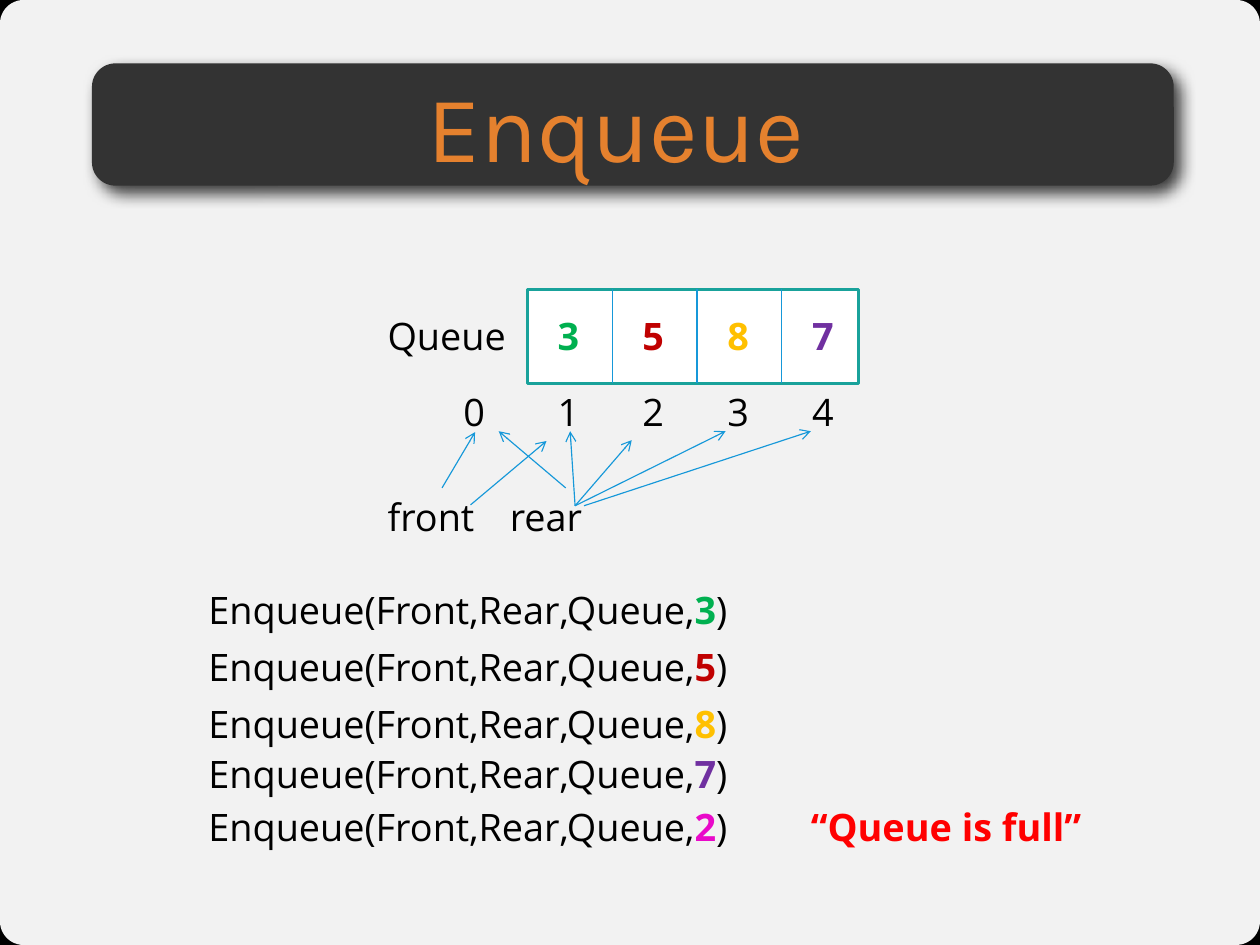
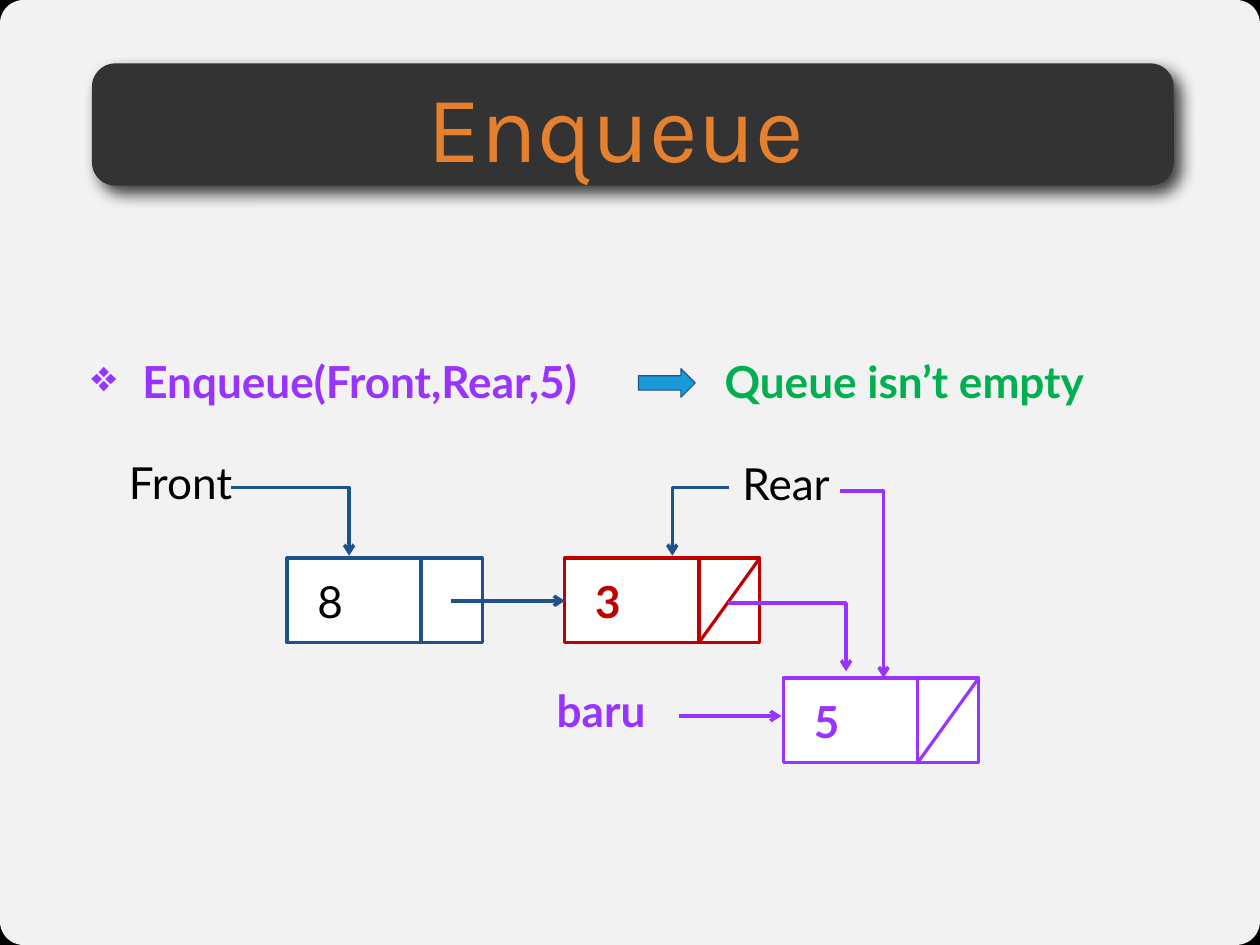
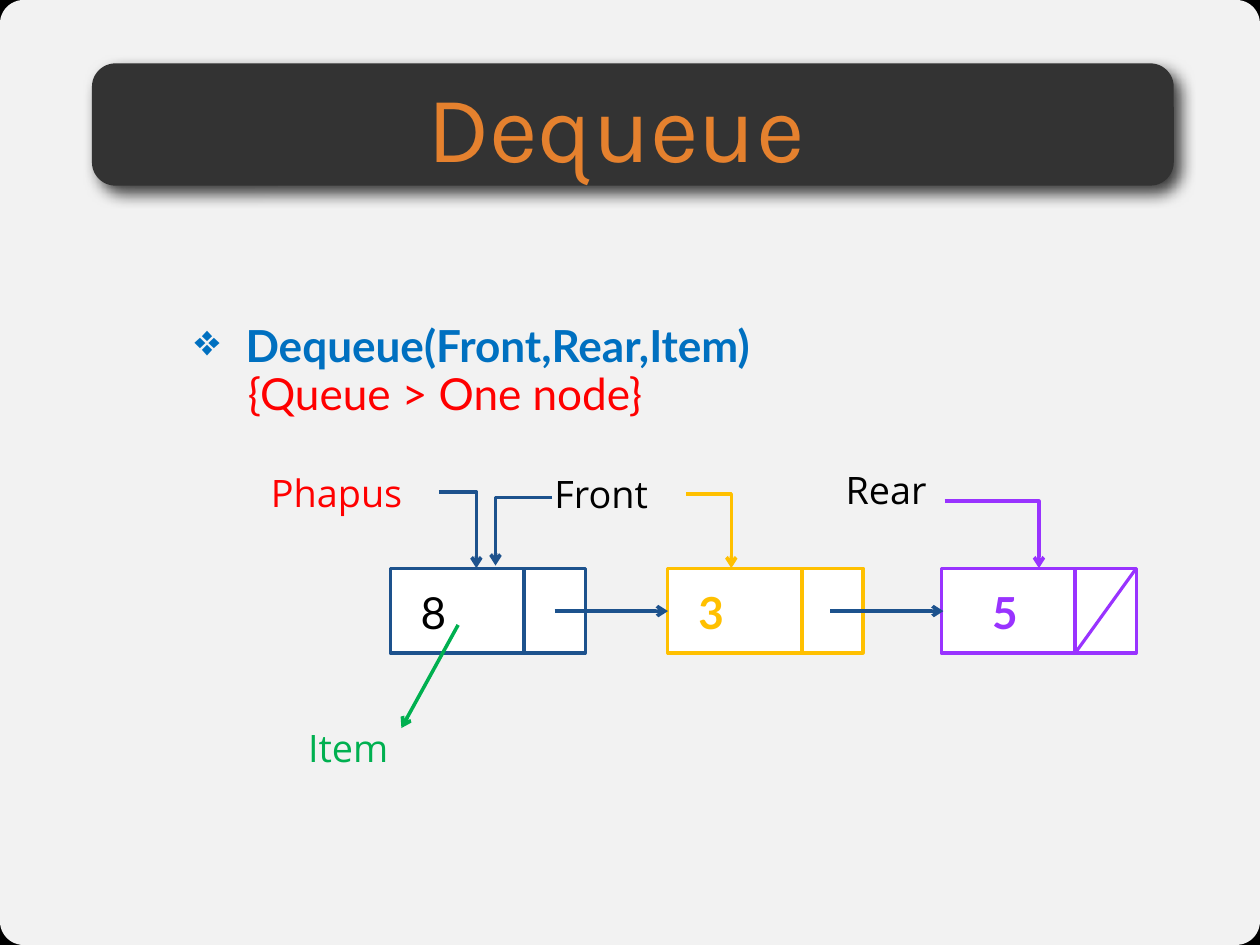
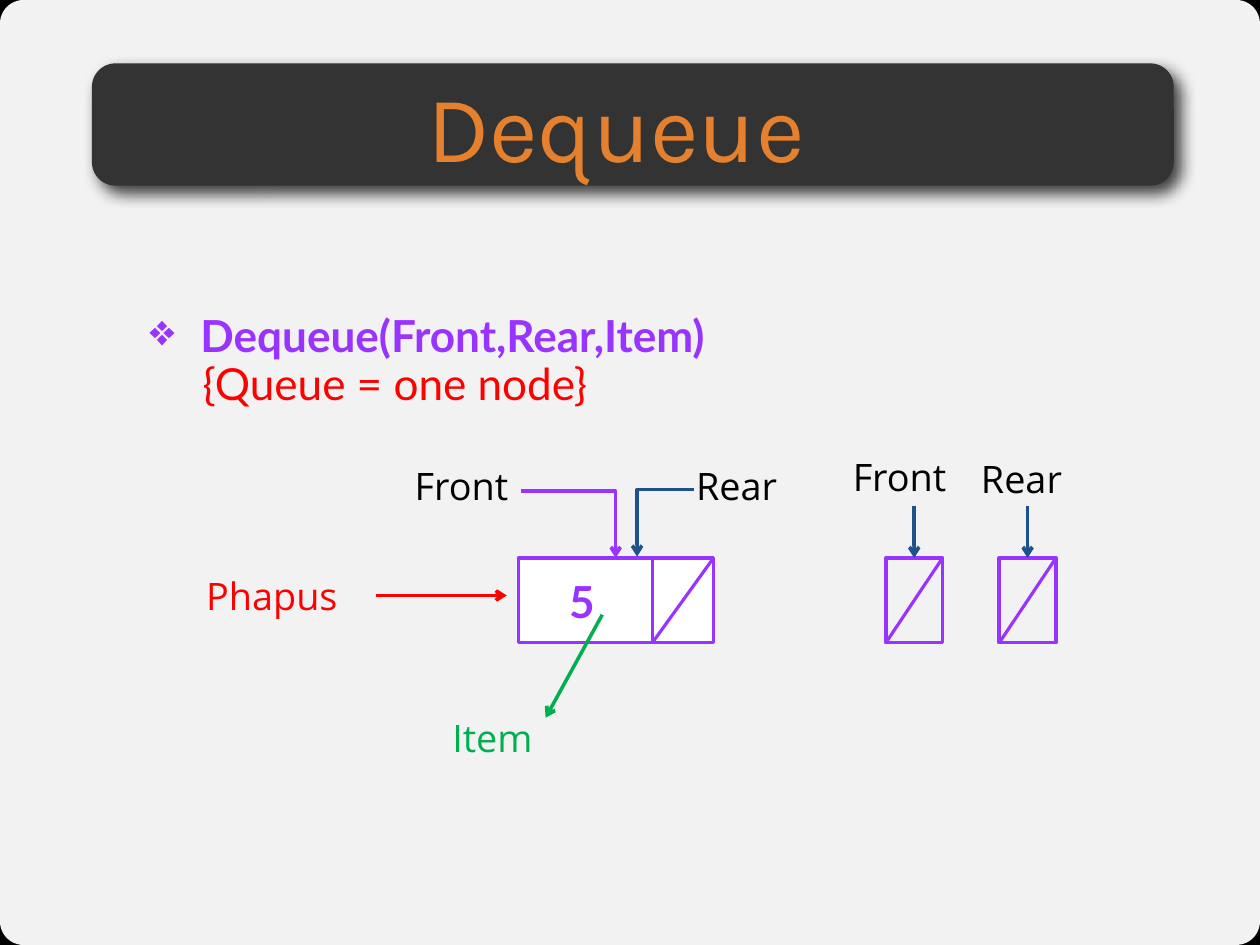
"""Build four slides that explain enqueue and dequeue on a queue."""
import dataclasses

import lxml.etree
import pptx
import pptx.dml.color
import pptx.enum.shapes
import pptx.enum.text
import pptx.oxml.ns
import pptx.util

Cm = pptx.util.Cm
Pt = pptx.util.Pt
qn = pptx.oxml.ns.qn
Preset = pptx.enum.shapes.MSO_SHAPE
Connector = pptx.enum.shapes.MSO_CONNECTOR


@dataclasses.dataclass(frozen=True)
class Type:
    """A typeface with its size in points."""
    face: str
    size: int


@dataclasses.dataclass(frozen=True)
class Theme:
    """Colours, type styles and line widths of the deck."""
    backdrop: str = "000000"
    paper: str = "FFFFFF"
    band: str = "333333"
    title_ink: str = "E5812E"
    ink: str = "000000"
    navy: str = "1D528D"
    sky: str = "1698D9"
    block_arrow: str = "1B9AD9"
    teal: str = "19A29B"
    blue: str = "0070C0"
    violet: str = "9933FF"
    purple: str = "7030A0"
    magenta: str = "E909C9"
    red: str = "FF0000"
    crimson: str = "C00000"
    amber: str = "FFC000"
    green: str = "00B050"
    title: Type = Type("Karla", 60)
    heading: Type = Type("Lato", 28)
    body: Type = Type("Open Sans", 24)
    hairline: float = 0.75
    outline: float = 2
    pointer: float = 2.25


THEME = Theme()
SLIDE_WIDTH, SLIDE_HEIGHT = 28.22, 21.17
NODE_WIDTH, NODE_HEIGHT, NODE_DIVIDER = 4.37, 1.9, 3


@dataclasses.dataclass
class Region:
    """A box on a slide, in centimetres; its parts use offsets from its corner."""
    slide: object
    left: float
    top: float
    width: float
    height: float

    def at(self, x, y):
        """Return the slide position of an offset inside the box."""
        return Cm(self.left + x), Cm(self.top + y)

    def inner(self, x, y, width, height):
        """Return a smaller box at an offset inside this one."""
        return Region(self.slide, self.left + x, self.top + y, width, height)


@dataclasses.dataclass
class Label:
    """A short caption in a diagram."""
    text: str
    x: float
    y: float
    color: str = THEME.ink
    bold: bool = False
    width: float = 3.2


@dataclasses.dataclass
class Node:
    """A list node with its value and, at the end of a list, a null slash."""
    value: str
    x: float
    y: float
    color: str
    value_color: str
    inset: float = 0.43
    bold: bool = True
    null: bool = False


@dataclasses.dataclass
class Pointer:
    """An arrow between two points, straight or with one corner."""
    start: tuple
    end: tuple
    color: str = THEME.navy
    bent: bool = False


def rgb(color):
    """Turn a hex string into a colour."""
    return pptx.dml.color.RGBColor.from_string(color)


def draw_shape(region, preset, fill=None, line=None, weight=THEME.outline, corner=None):
    """Draw a preset shape that fills the region."""
    shape = region.slide.shapes.add_shape(
        preset, *region.at(0, 0), Cm(region.width), Cm(region.height))
    shape.shadow.inherit = False
    if fill:
        shape.fill.solid()
        shape.fill.fore_color.rgb = rgb(fill)
    else:
        shape.fill.background()
    if line:
        shape.line.color.rgb = rgb(line)
        shape.line.width = Pt(weight)
    else:
        shape.line.fill.background()
    if corner is not None:
        shape.adjustments[0] = corner
    return shape


def draw_line(region, start, end, color, weight, arrow=False, bent=False):
    """Draw a line between two offsets, with an arrowhead or a corner on demand."""
    kind = Connector.ELBOW if bent else Connector.STRAIGHT
    connector = region.slide.shapes.add_connector(
        kind, *region.at(*start), *region.at(*end))
    connector.line.color.rgb = rgb(color)
    connector.line.width = Pt(weight)
    properties = connector._element.spPr
    if bent:
        properties.find(qn("a:prstGeom")).set("prst", "bentConnector2")
    if arrow:
        lxml.etree.SubElement(properties.find(qn("a:ln")), qn("a:tailEnd"), type="arrow")
    lxml.etree.SubElement(properties, qn("a:effectLst"))


def write(region, text, x, y, width, style, color=THEME.ink, bold=False):
    """Write one paragraph in a box that grows with its text."""
    height = 1.27 if style == THEME.body else 1.45
    box = region.slide.shapes.add_textbox(*region.at(x, y), Cm(width), Cm(height))
    frame = box.text_frame
    frame.word_wrap = True
    frame.auto_size = pptx.enum.text.MSO_AUTO_SIZE.SHAPE_TO_FIT_TEXT
    paragraph = frame.paragraphs[0]
    paragraph.text = text
    set_font(paragraph, style, color, bold)
    return paragraph


def set_font(paragraph, style, color, bold=False):
    """Set the font of a whole paragraph."""
    paragraph.font.name = style.face
    paragraph.font.size = Pt(style.size)
    paragraph.font.color.rgb = rgb(color)
    paragraph.font.bold = bold


def add_paper(region):
    """Lay the slightly transparent rounded paper over the backdrop."""
    paper = draw_shape(region, Preset.ROUNDED_RECTANGLE, THEME.paper, corner=0.025)
    tint = paper._element.spPr.find(qn("a:solidFill"))[0]
    lxml.etree.SubElement(tint, qn("a:alpha"), val="95000")


def add_title(region, title):
    """Draw the shadowed dark band with its centred title."""
    band = draw_shape(region, Preset.ROUNDED_RECTANGLE, THEME.band, corner=0.192)
    effects = band._element.spPr.find(qn("a:effectLst"))
    shadow = lxml.etree.SubElement(
        effects, qn("a:outerShdw"), blurRad=str(Pt(10)), dist=str(Pt(6)),
        dir=str(51 * 60000), algn="tl", rotWithShape="0")
    shade = lxml.etree.SubElement(shadow, qn("a:srgbClr"), val=THEME.backdrop)
    lxml.etree.SubElement(shade, qn("a:alpha"), val="75000")

    box = region.slide.shapes.add_textbox(
        *region.at(-0.33, 0.1), Cm(region.width - 0.1), Cm(region.height - 0.2))
    frame = box.text_frame
    frame.word_wrap = True
    frame.vertical_anchor = pptx.enum.text.MSO_ANCHOR.MIDDLE
    frame.margin_left = frame.margin_right = frame.margin_top = frame.margin_bottom = 0
    paragraph = frame.paragraphs[0]
    paragraph.text = title
    paragraph.alignment = pptx.enum.text.PP_ALIGN.CENTER
    set_font(paragraph, THEME.title, THEME.title_ink)


def new_slide(deck, title):
    """Add a slide with paper and title, and return its full area."""
    slide = deck.slides.add_slide(deck.slide_layouts[6])
    page = Region(slide, 0, 0, SLIDE_WIDTH, SLIDE_HEIGHT)
    add_paper(page)
    add_title(page.inner(2.06, 1.42, 24.23, 2.74), title)
    return page


def add_call(region, call, color):
    """Write the bulleted operation at the top of the region."""
    paragraph = write(region, call, 0, 0, region.width, THEME.heading, color, bold=True)
    properties = paragraph._p.get_or_add_pPr()
    hang = Cm(1.14)
    properties.set("marL", str(hang))
    properties.set("indent", str(-hang))
    bullet = lxml.etree.Element(qn("a:buChar"), char="❖")
    properties.find(qn("a:defRPr")).addprevious(bullet)


def add_call_with_case(region, call, color, case):
    """Write the operation and, below it, the case it handles."""
    add_call(region, call, color)
    write(region, case, 1.19, 1.07, 12.14, THEME.heading, THEME.red)


def add_null_slash(region, left=0):
    """Strike the part of the region right of the given offset."""
    draw_line(region, (region.width, 0), (left, region.height),
              THEME.violet if left == 0 else region.color, THEME.outline)


def add_node(region, node):
    """Draw a two-part list node that fills the region."""
    draw_shape(region, Preset.RECTANGLE, THEME.paper, node.color)
    draw_line(region, (NODE_DIVIDER, 0), (NODE_DIVIDER, region.height),
              node.color, THEME.pointer)
    if node.null:
        draw_line(region, (region.width, 0), (NODE_DIVIDER, region.height),
                  node.color, THEME.outline)
    write(region, node.value, node.inset, 0.25, 1.6, THEME.heading,
          node.value_color, node.bold)


def add_null_pointer(region, color):
    """Draw an empty struck cell with an arrow that comes in from above."""
    middle = region.width / 2
    draw_shape(region, Preset.RECTANGLE, line=color, weight=THEME.pointer)
    draw_line(region, (region.width, 0), (0, region.height), color, THEME.outline)
    draw_line(region, (middle, -1.17), (middle, 0), THEME.navy, THEME.pointer, arrow=True)


def add_linked_list(region, nodes, labels, pointers, style=THEME.body):
    """Draw nodes, captions and arrows of a linked list."""
    for node in nodes:
        add_node(region.inner(node.x, node.y, NODE_WIDTH, NODE_HEIGHT), node)
    for label in labels:
        write(region, label.text, label.x, label.y, label.width, style,
              label.color, label.bold)
    for pointer in pointers:
        draw_line(region, pointer.start, pointer.end, pointer.color, THEME.pointer,
                  arrow=True, bent=pointer.bent)


def add_array_queue(region, values):
    """Draw the array with its indices and the moves of front and rear."""
    pitch, digit_width = 1.9, 1.07
    cells = region.inner(3.38, 0, 7.42, 2.11)
    draw_shape(cells, Preset.RECTANGLE, THEME.paper, THEME.teal)
    write(region, "Queue", 0, 0.41, 3.38, THEME.body)
    write(cells, "0", -1.68, cells.height, digit_width, THEME.body)
    for index, (value, color) in enumerate(values):
        edge = index * pitch
        if index:
            draw_line(cells, (edge, 0), (edge, cells.height), THEME.sky, THEME.hairline)
        write(cells, value, edge + 0.43, 0.41, digit_width, THEME.body, color, bold=True)
        write(cells, str(index + 1), edge + 0.43, cells.height, digit_width, THEME.body)

    write(region, "front", 0, 4.45, 2.97, THEME.body)
    write(region, "rear", 2.74, 4.45, 2.97, THEME.body)
    rear = (4.45, 4.85)
    moves = [
        ((1.47, 4.45), (2.21, 3.2)),
        ((2.11, 4.83), (3.81, 3.4)),
        ((4.24, 4.45), (2.74, 3.18)),
        (rear, (4.34, 3.18)),
        (rear, (5.72, 3.38)),
        (rear, (7.82, 3.18)),
        ((4.65, 4.85), (9.73, 3.18)),
    ]
    for start, end in moves:
        draw_line(region, start, end, THEME.sky, THEME.hairline, arrow=True)


def add_enqueue_calls(region, values):
    """List one enqueue call per value, the last with its message."""
    tops = (0, 1.27, 2.54, 3.66, 4.85)
    for top, (value, color) in zip(tops, values):
        call = write(region, "Enqueue(Front,Rear,Queue,", 0, top, 13.82, THEME.body)
        argument = call.add_run()
        argument.text = value
        argument.font.bold = True
        argument.font.color.rgb = rgb(color)
        call.add_run().text = ")"
    write(region, "“Queue is full”", 13.49, tops[-1], 8.38, THEME.body,
          THEME.red, bold=True)


def build_array_enqueue(deck):
    """Slide: enqueue on an array until it is full."""
    page = new_slide(deck, "Enqueue")
    values = [("3", THEME.green), ("5", THEME.crimson),
              ("8", THEME.amber), ("7", THEME.purple)]
    add_array_queue(page.inner(8.43, 6.48, 10.8, 5.72), values)
    add_enqueue_calls(page.inner(4.42, 13.03, 21.87, 6.12),
                      values + [("2", THEME.magenta)])


def build_list_enqueue(deck):
    """Slide: enqueue on a linked list that has nodes."""
    page = new_slide(deck, "Enqueue")
    add_call(page.inner(1.8, 7.82, 13.34, 1.45), "Enqueue(Front,Rear,5)", THEME.violet)
    draw_shape(page.inner(14.3, 8.26, 1.27, 0.64), Preset.RIGHT_ARROW,
               THEME.block_arrow, THEME.navy, THEME.hairline)
    write(page, "Queue isn’t empty", 15.98, 7.82, 10.59, THEME.heading,
          THEME.green, bold=True)
    nodes = [
        Node("8", 3.93, 2.5, THEME.navy, THEME.ink, bold=False),
        Node("3", 10.15, 2.5, THEME.crimson, THEME.crimson, null=True),
        Node("5", 15.05, 5.19, THEME.violet, THEME.violet, null=True),
    ]
    labels = [
        Label("Front", 0.14, 0.08),
        Label("Rear", 13.88, 0.11),
        Label("baru", 9.72, 5.19, THEME.violet, bold=True),
    ]
    pointers = [
        Pointer((2.68, 0.92), (5.32, 2.45), bent=True),
        Pointer((13.83, 0.92), (12.56, 2.45), bent=True),
        Pointer((16.32, 1), (17.29, 5.19), THEME.violet, bent=True),
        Pointer((7.61, 3.46), (10.15, 3.46)),
        Pointer((13.81, 3.51), (16.45, 5.04), THEME.violet, bent=True),
        Pointer((12.71, 6.04), (15, 6.04), THEME.violet),
    ]
    add_linked_list(page.inner(2.5, 10, 20, 7.2), nodes, labels, pointers, THEME.heading)


def build_dequeue_of_many(deck):
    """Slide: dequeue from a list with more than one node."""
    page = new_slide(deck, "Dequeue")
    add_call_with_case(page.inner(4.11, 7.01, 14.17, 2.52), "Dequeue(Front,Rear,Item)",
                       THEME.blue, "{Queue > One node}")
    nodes = [
        Node("8", 2.94, 2.43, THEME.navy, THEME.ink, bold=False),
        Node("3", 9.16, 2.43, THEME.amber, THEME.amber),
        Node("5", 15.28, 2.43, THEME.violet, THEME.violet, inset=0.89, null=True),
    ]
    labels = [
        Label("Phapus", 0.02, 0.09, THEME.red, width=4.01),
        Label("Front", 6.37, 0.11),
        Label("Rear", 12.89, 0.04),
        Label("Item", 0.85, 5.8, THEME.green, width=4.01),
    ]
    pointers = [
        Pointer((4.03, 0.72), (4.87, 2.43), bent=True),
        Pointer((6.57, 0.85), (5.3, 2.37), bent=True),
        Pointer((9.57, 0.77), (10.58, 2.43), THEME.amber, bent=True),
        Pointer((15.36, 0.93), (17.47, 2.43), THEME.violet, bent=True),
        Pointer((6.62, 3.39), (9.16, 3.39)),
        Pointer((12.79, 3.39), (15.33, 3.39)),
        Pointer((4.46, 3.7), (3.19, 6.01), THEME.green),
    ]
    add_linked_list(page.inner(5.8, 10.3, 19.7, 7.1), nodes, labels, pointers)


def build_dequeue_of_one(deck):
    """Slide: dequeue the only node, which leaves front and rear null."""
    page = new_slide(deck, "Dequeue")
    add_call_with_case(page.inner(3.1, 6.78, 14.17, 2.52), "Dequeue(Front,Rear,Item)",
                       THEME.violet, "{Queue = one node}")
    nodes = [Node("5", 7.31, 2.5, THEME.violet, THEME.violet, inset=0.89, null=True)]
    labels = [
        Label("Front", 4.74, 0.24),
        Label("Rear", 11.04, 0.24),
        Label("Phapus", 0.07, 2.7, THEME.red, width=4.01),
        Label("Item", 5.58, 5.88, THEME.green, width=4.01),
        Label("Front", 14.55, 0.03),
        Label("Rear", 17.42, 0.08),
    ]
    pointers = [
        Pointer((7.36, 1), (9.49, 2.5), THEME.violet, bent=True),
        Pointer((11.24, 0.97), (9.97, 2.47), bent=True),
        Pointer((4.11, 3.34), (7.05, 3.34), THEME.red),
        Pointer((9.19, 3.77), (7.92, 6.08), THEME.green),
    ]
    diagram = page.inner(4.3, 10, 20.6, 7.2)
    add_linked_list(diagram, nodes, labels, pointers)
    for left in (15.54, 18.08):
        add_null_pointer(diagram.inner(left, 2.5, 1.27, NODE_HEIGHT), THEME.violet)


def main():
    """Build the deck and save it."""
    deck = pptx.Presentation()
    deck.slide_width, deck.slide_height = Cm(SLIDE_WIDTH), Cm(SLIDE_HEIGHT)
    backdrop = deck.slide_master.background.fill
    backdrop.solid()
    backdrop.fore_color.rgb = rgb(THEME.backdrop)
    build_array_enqueue(deck)
    build_list_enqueue(deck)
    build_dequeue_of_many(deck)
    build_dequeue_of_one(deck)
    deck.save("out.pptx")


main()
